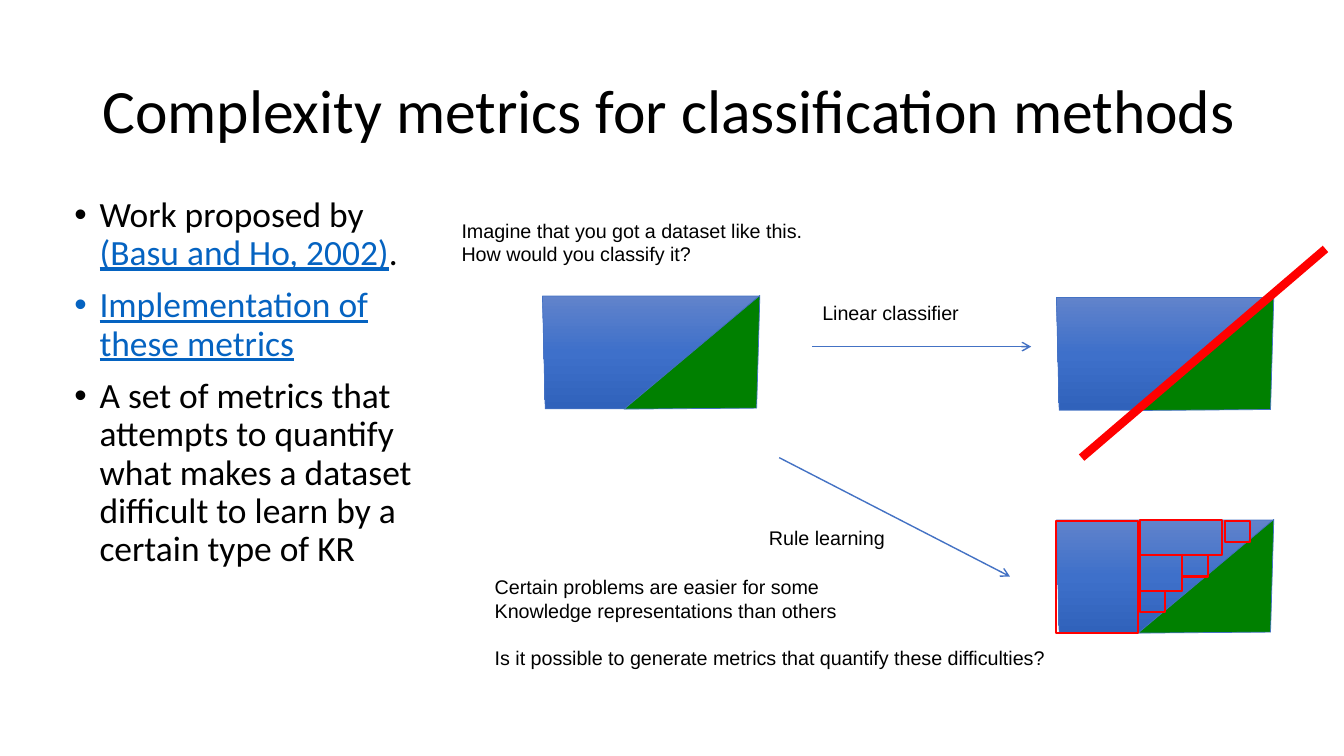
from copy import deepcopy

from lxml.etree import SubElement
from pptx import Presentation
from pptx.dml.color import RGBColor
from pptx.enum.shapes import MSO_CONNECTOR, MSO_SHAPE
from pptx.enum.text import MSO_ANCHOR
from pptx.oxml.ns import qn
from pptx.util import Pt

BLACK, BLUE, GREEN, RED, LINK = "000000", "4472C4", "008000", "FF0000", "0563C1"
GRADIENT = [(0, "6183CB"), (0.5, "3E70CA"), (1, "3062BB")]

# Outlines of the two classes, relative to the corner of a dataset
BLUE_CLASS = [(0, 0), (155, 0), (60.5, 80.5), (2, 80.5)]
GREEN_CLASS = [(58.3, 80.7), (153, 80), (155.3, -0.5)]

# Boxes covered by the learned rules: left, top, width, height
RULES = [
    (0, 0.5, 58.5, 80.5),
    (59.8, 0, 58.5, 25.2),
    (59.8, 25.2, 30.2, 25.2),
    (59.8, 50.4, 18, 15.1),
    (90, 25.2, 18, 15.1),
    (120.2, 0.5, 18, 15.1),
]


def color(value):
    return RGBColor.from_string(value)


def add_text(page, frame, paragraphs, size, font="Arial", wrap=False):
    """Each paragraph is a list of (text, colour) spans."""
    box = page.shapes.add_textbox(*map(Pt, frame))
    box.text_frame.word_wrap = wrap
    for index, spans in enumerate(paragraphs):
        para = box.text_frame.paragraphs[0] if index == 0 else box.text_frame.add_paragraph()
        para.font.size = Pt(size)
        para.font.name = font
        for text, shade in spans:
            span = para.add_run()
            span.text = text
            span.font.color.rgb = color(shade)
            if shade == LINK:
                span.font.underline = True
    return box.text_frame


def add_label(page, frame, *lines):
    return add_text(page, frame, [[(line, BLACK)] for line in lines], 14.1)


def add_bullet(para):
    properties = para._p.get_or_add_pPr()
    properties.set("marL", str(Pt(18)))
    properties.set("indent", str(-Pt(18)))
    SubElement(properties, qn("a:buFont"), typeface="Arial")
    SubElement(properties, qn("a:buChar"), char="•")


def add_line(page, start, end, shade, width, arrow=False):
    line = page.shapes.add_connector(MSO_CONNECTOR.STRAIGHT, *map(Pt, start + end))
    line.line.color.rgb = color(shade)
    line.line.width = Pt(width)
    if arrow:
        SubElement(line.line._get_or_add_ln(), qn("a:tailEnd"), type="arrow")
    SubElement(line._element.spPr, qn("a:effectLst"))


def add_outline(page, left, top, corners):
    points = [(Pt(left + x), Pt(top + y)) for x, y in corners]
    builder = page.shapes.build_freeform(*points[0])
    builder.add_line_segments(points[1:], close=True)
    shape = builder.convert_to_shape()
    shape.shadow.inherit = False
    shape.line.color.rgb = color(BLUE)
    shape.line.width = Pt(0.5)
    return shape


def fill_gradient(shape):
    shape.fill.gradient()
    shape.fill.gradient_angle = 270
    stop_list = shape._element.spPr.find(qn("a:gradFill")).find(qn("a:gsLst"))
    stop_list.append(deepcopy(stop_list[0]))
    for stop, (position, shade) in zip(shape.fill.gradient_stops, GRADIENT):
        stop.position = position
        stop.color.rgb = color(shade)


def add_dataset(page, left, top):
    fill_gradient(add_outline(page, left, top, BLUE_CLASS))
    green = add_outline(page, left, top, GREEN_CLASS)
    green.fill.solid()
    green.fill.fore_color.rgb = color(GREEN)


def add_rule(page, left, top, width, height):
    rule = page.shapes.add_shape(MSO_SHAPE.RECTANGLE, *map(Pt, (left, top, width, height)))
    rule.shadow.inherit = False
    rule.fill.background()
    rule.line.color.rgb = color(RED)
    rule.line.width = Pt(1.5)


def main():
    deck = Presentation()
    deck.slide_width, deck.slide_height = Pt(960), Pt(540)
    page = deck.slides.add_slide(deck.slide_layouts[6])

    # Title
    title = add_text(page, (66, 28.75, 828, 104.4),
                     [[("Complexity metrics for classification methods", BLACK)]],
                     44, "Calibri", True)
    title.vertical_anchor = MSO_ANCHOR.MIDDLE
    title.paragraphs[0].line_spacing = 0.9

    # Bullets
    body = add_text(page, (46, 137, 265, 343), [
        [("Work proposed by ", BLACK), ("(Basu and Ho, 2002)", LINK), (".", BLACK)],
        [("Implementation of these metrics", LINK)],
        [("A set of metrics that attempts to quantify what makes a dataset "
          "difficult to learn by a certain type of KR", BLACK)],
    ], 25.3, "Calibri", True)
    for para in body.paragraphs:
        para.line_spacing = 0.9
        para.space_before = Pt(10)
        add_bullet(para)

    # Dataset to classify
    add_dataset(page, 387.5, 211.5)
    add_label(page, (322.6, 152.6, 265, 41),
              "Imagine that you got a dataset like this.", "How would you classify it?")

    # Linear classifier
    add_line(page, (580.3, 247.6), (736.6, 247.6), BLUE, 1, arrow=True)
    add_dataset(page, 754.6, 212.5)
    add_line(page, (946.8, 177.8), (772.6, 326.9), RED, 6)
    add_label(page, (580.3, 211, 113, 24.5), "Linear classifier")

    # Rule learning
    add_line(page, (556.6, 326.9), (721.4, 411.8), BLUE, 1, arrow=True)
    add_label(page, (542.2, 372.2, 98.6, 24.5), "Rule learning")
    add_dataset(page, 754.6, 371.5)
    for left, top, width, height in RULES:
        add_rule(page, 754.6 + left, 371.5 + top, width, height)

    # Closing question
    closing = add_label(page, (346.3, 407, 412.6, 75.6),
                        "Certain problems are easier for some",
                        "Knowledge representations than others",
                        "Is it possible to generate metrics that quantify these difficulties?")
    closing.paragraphs[2].space_before = Pt(17)

    deck.save("out.pptx")


if __name__ == "__main__":
    main()
